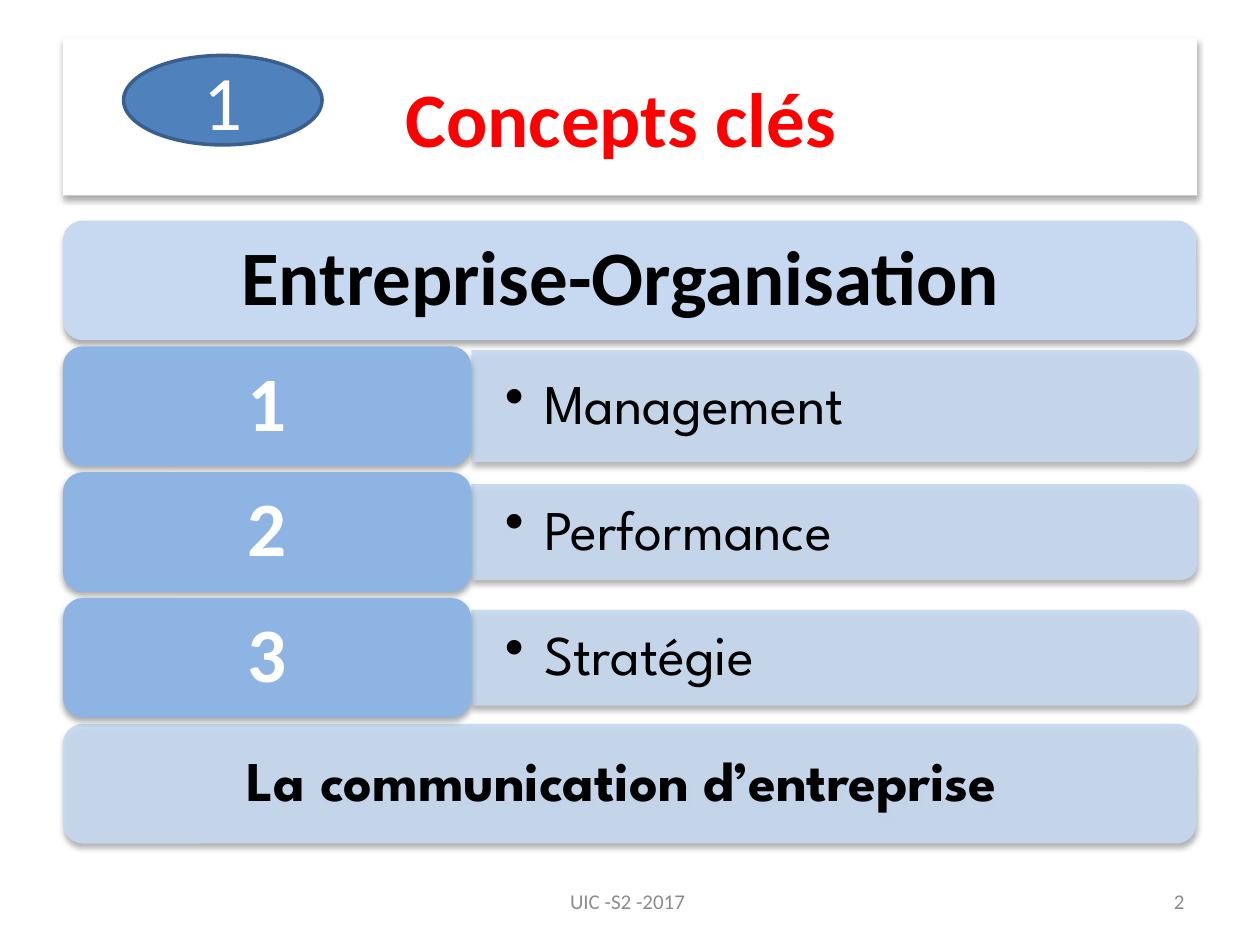
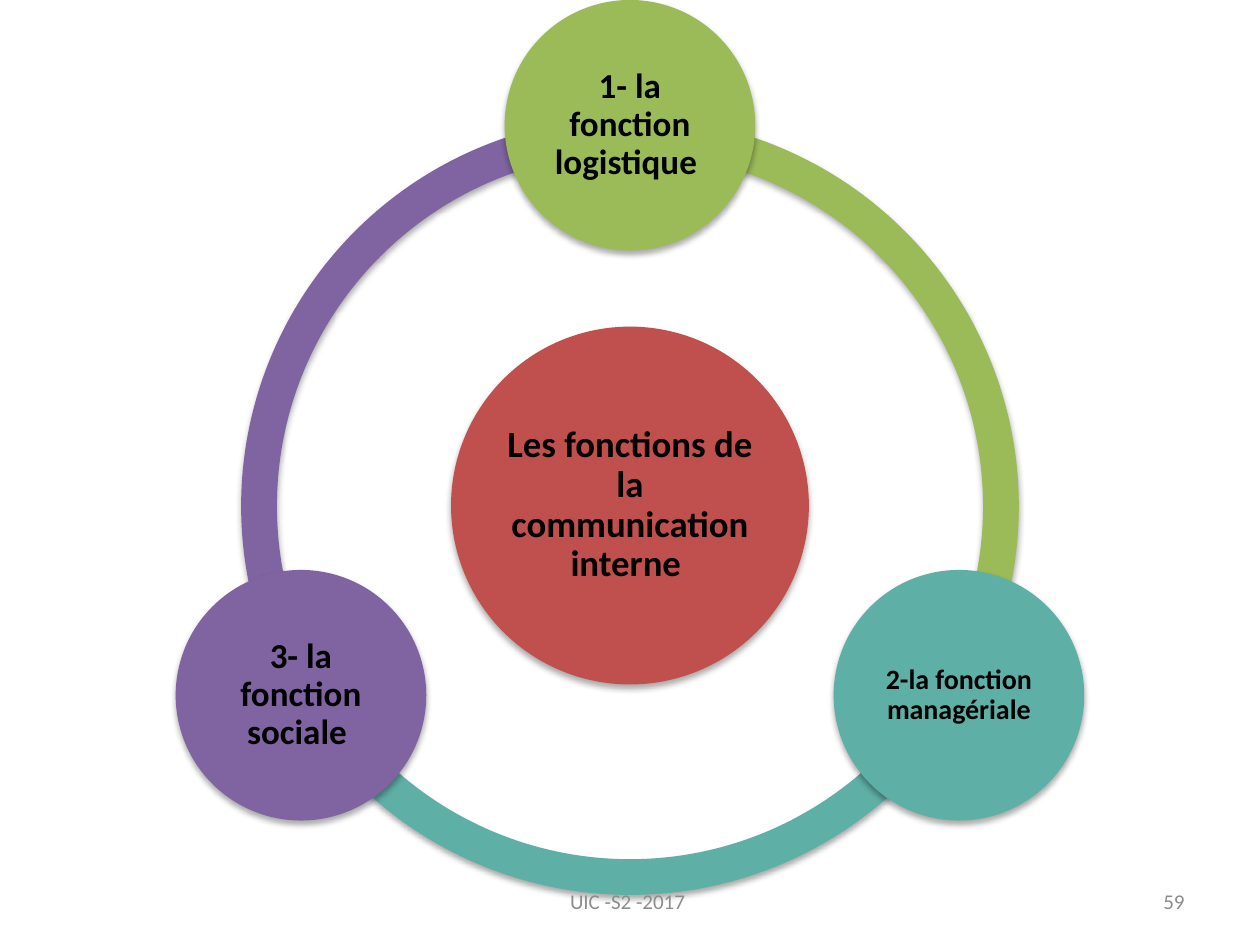
from lxml import etree
from pptx import Presentation
from pptx.dml.color import RGBColor
from pptx.enum.shapes import MSO_SHAPE
from pptx.enum.text import MSO_ANCHOR, PP_ALIGN
from pptx.oxml.ns import qn
from pptx.util import Pt

RECT, ROUNDED, ELLIPSE = MSO_SHAPE.RECTANGLE, MSO_SHAPE.ROUNDED_RECTANGLE, MSO_SHAPE.OVAL
TWO_ROUND, ARC = MSO_SHAPE.ROUND_2_SAME_RECTANGLE, MSO_SHAPE.BLOCK_ARC
LEFT, CENTER, RIGHT = PP_ALIGN.LEFT, PP_ALIGN.CENTER, PP_ALIGN.RIGHT
MIDDLE = MSO_ANCHOR.MIDDLE

WHITE = RGBColor(0xFF, 0xFF, 0xFF)
BLACK = RGBColor(0x00, 0x00, 0x00)
TITLE_RED = RGBColor(0xFF, 0x00, 0x00)
FOOTER_GREY = RGBColor(0x8C, 0x8C, 0x8C)
PALE_BLUE = RGBColor(0xC6, 0xD9, 0xF1)
SKY_BLUE = RGBColor(0x8E, 0xB4, 0xE3)
BADGE_BLUE = RGBColor(0x4F, 0x81, 0xBD)
BADGE_EDGE = RGBColor(0x3A, 0x5F, 0x8C)
RED = RGBColor(0xC0, 0x50, 0x4D)
GREEN = RGBColor(0x9B, 0xBB, 0x59)
TEAL = RGBColor(0x5E, 0xAF, 0xA6)
PURPLE = RGBColor(0x80, 0x64, 0xA2)
BODY_FONT, ACCENT_FONT = "Calibri", "League Spartan"


def write(shape, text, size, color, bold=False, font=BODY_FONT, align=CENTER,
          inset=(7.2, 3.6), spacing=None, bullet=False):
    frame = shape.text_frame
    frame.word_wrap = True
    frame.vertical_anchor = MIDDLE
    frame.margin_left = frame.margin_right = Pt(inset[0])
    frame.margin_top = frame.margin_bottom = Pt(inset[1])
    paragraph = frame.paragraphs[0]
    paragraph.text = text
    paragraph.alignment = align
    if spacing:
        paragraph.line_spacing = spacing
    if bullet:
        properties = paragraph._p.get_or_add_pPr()
        properties.set("marL", str(Pt(22.5)))
        properties.set("indent", str(Pt(-22.5)))
        etree.SubElement(properties, qn("a:buChar")).set("char", "•")
    paragraph.font.name = font
    paragraph.font.size = Pt(size)
    paragraph.font.bold = bold
    paragraph.font.color.rgb = color


def paint(shape, color, opacity=100):
    """Flat fill, no outline, soft shadow below."""
    shape.fill.solid()
    shape.fill.fore_color.rgb = color
    shape.line.fill.background()
    shape.shadow.inherit = False
    properties = shape._element.spPr
    if opacity < 100:
        fill_color = properties.find(qn("a:solidFill"))[0]
        etree.SubElement(fill_color, qn("a:alpha")).set("val", str(opacity * 1000))
    shadow = etree.SubElement(properties.find(qn("a:effectLst")), qn("a:outerShdw"),
                              blurRad=str(Pt(3.5)), dist=str(Pt(2.2)),
                              dir="5400000", rotWithShape="0")
    black = etree.SubElement(shadow, qn("a:srgbClr"), val="000000")
    etree.SubElement(black, qn("a:alpha"), val="32000")


deck = Presentation()
deck.slide_width, deck.slide_height = Pt(720), Pt(540)
concepts = deck.slides.add_slide(deck.slide_layouts[5])
functions = deck.slides.add_slide(deck.slide_layouts[6])

# Slide 1: title
title = concepts.shapes.title
title.left, title.top, title.width, title.height = Pt(36), Pt(21.6), Pt(648), Pt(90)
paint(title, WHITE)
write(title, "Concepts clés ", 44, TITLE_RED, bold=True)

# Slide 1: five rows at an equal pitch
ROW_LEFT, ROW_TOP, ROW_PITCH, ROW_HEIGHT = 36, 126, 71.9, 68.4
ROW_WIDTH, NUMBER_WIDTH, TOPIC_WIDTH = 647.6, 233.3, 414.7
TOPIC_LEFT = ROW_LEFT + NUMBER_WIDTH

for row, text, size, font, opacity, inset in (
        (0, "Entreprise-Organisation ", 44, BODY_FONT, 100, (13, 6.5)),
        (4, "La communication d’entreprise ", 32, ACCENT_FONT, 90, (9.5, 5))):
    band = concepts.shapes.add_shape(ROUNDED, Pt(ROW_LEFT), Pt(ROW_TOP + row * ROW_PITCH),
                                     Pt(ROW_WIDTH), Pt(ROW_HEIGHT))
    paint(band, PALE_BLUE, opacity)
    write(band, text, size, BLACK, bold=True, font=font, inset=inset, spacing=0.9)

topics = (("Management", 64), ("Performance", 54.7), ("Stratégie", 54.7))
for row, (topic, thickness) in enumerate(topics, start=1):
    top = ROW_TOP + row * ROW_PITCH
    middle = top + ROW_HEIGHT / 2
    # The bar stands upright and is turned so its round corners face right
    bar = concepts.shapes.add_shape(
        TWO_ROUND, Pt(TOPIC_LEFT + (TOPIC_WIDTH - thickness) / 2),
        Pt(middle - TOPIC_WIDTH / 2), Pt(thickness), Pt(TOPIC_WIDTH))
    bar.rotation = 90
    paint(bar, PALE_BLUE, 90)
    label = concepts.shapes.add_textbox(Pt(TOPIC_LEFT), Pt(middle - thickness / 2),
                                        Pt(TOPIC_WIDTH - 3), Pt(thickness))
    write(label, topic, 32, BLACK, font=ACCENT_FONT, align=LEFT, inset=(19.2, 9.6),
          spacing=0.9, bullet=True)
    number = concepts.shapes.add_shape(ROUNDED, Pt(ROW_LEFT), Pt(top),
                                       Pt(NUMBER_WIDTH), Pt(ROW_HEIGHT))
    paint(number, SKY_BLUE)
    write(number, str(row), 44, WHITE, bold=True, inset=(13, 6.5), spacing=0.9)

# Slide 1: chapter badge
badge = concepts.shapes.add_shape(ELLIPSE, Pt(70.6), Pt(31.7), Pt(113.4), Pt(51.1))
badge.shadow.inherit = False
badge.fill.solid()
badge.fill.fore_color.rgb = BADGE_BLUE
badge.line.color.rgb = BADGE_EDGE
badge.line.width = Pt(2)
write(badge, "1", 44, WHITE)

# Slide 2: ring of three arcs; angles in degrees, clockwise from the right
RING_LEFT, RING_TOP, RING_SIZE = 137.8, 67, 444.4
ADJUST_PER_DEGREE = 0.6
for start, end, color in ((150, 270, PURPLE), (30, 150, TEAL), (270, 30, GREEN)):
    arc = functions.shapes.add_shape(ARC, Pt(RING_LEFT), Pt(RING_TOP),
                                     Pt(RING_SIZE), Pt(RING_SIZE))
    arc.adjustments[0] = start * ADJUST_PER_DEGREE
    arc.adjustments[1] = end * ADJUST_PER_DEGREE
    arc.adjustments[2] = 0.046
    paint(arc, color)

# Slide 2: centre and the three functions around it
for center_x, center_y, diameter, color, text, size in (
        (360, 288.9, 204.5, RED, "Les fonctions de la communication interne ", 21),
        (360, 71.6, 143.2, GREEN, "1- la fonction logistique ", 20),
        (548, 397.3, 143.2, TEAL, "2-la fonction managériale", 16),
        (172, 397.3, 143.2, PURPLE, "3- la fonction sociale ", 20)):
    disc = functions.shapes.add_shape(ELLIPSE, Pt(center_x - diameter / 2),
                                      Pt(center_y - diameter / 2),
                                      Pt(diameter), Pt(diameter))
    paint(disc, color)
    write(disc, text, size, BLACK, bold=True, inset=(2, 2), spacing=0.9)

# Footers
for slide, page in ((concepts, "2"), (functions, "59")):
    for left, width, text, align in ((516, 168, page, RIGHT),
                                     (246, 228, "UIC -S2 -2017 ", CENTER)):
        footer = slide.shapes.add_textbox(Pt(left), Pt(500.5), Pt(width), Pt(28.8))
        write(footer, text, 12, FOOTER_GREY, align=align)

deck.save("out.pptx")
